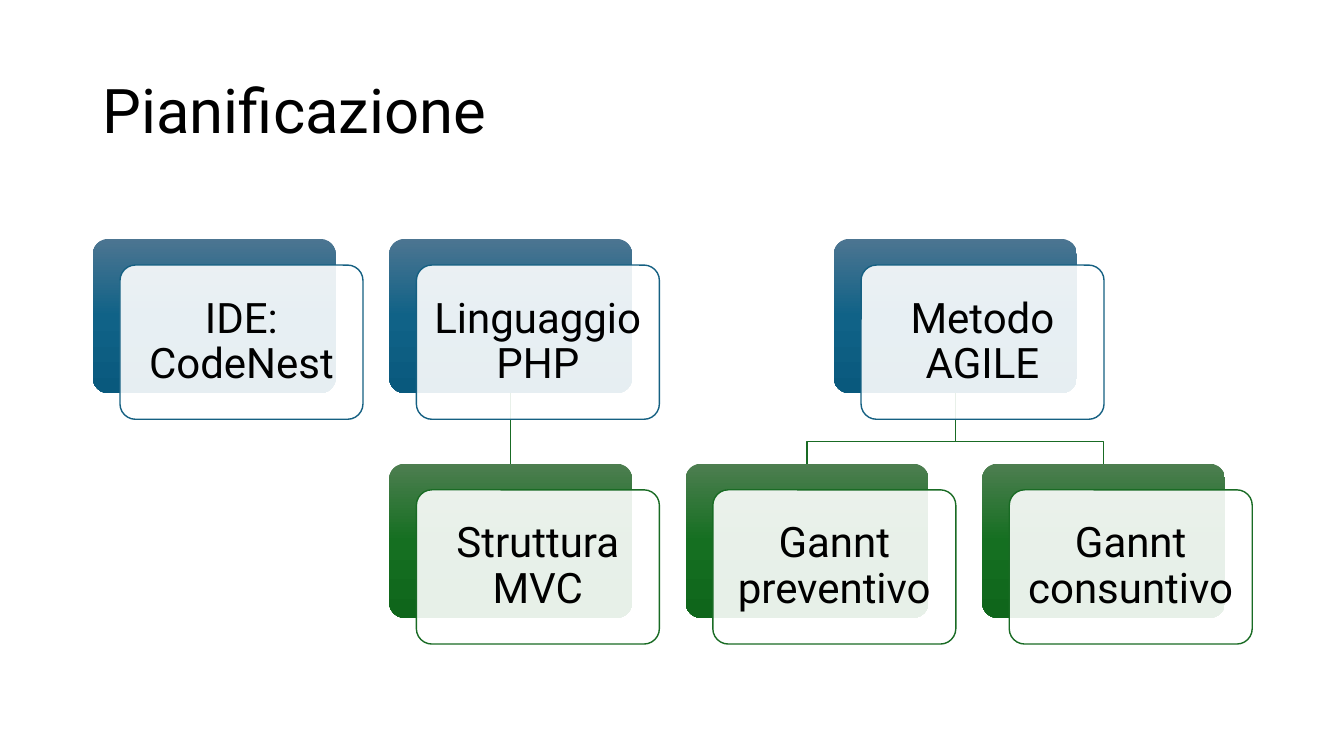
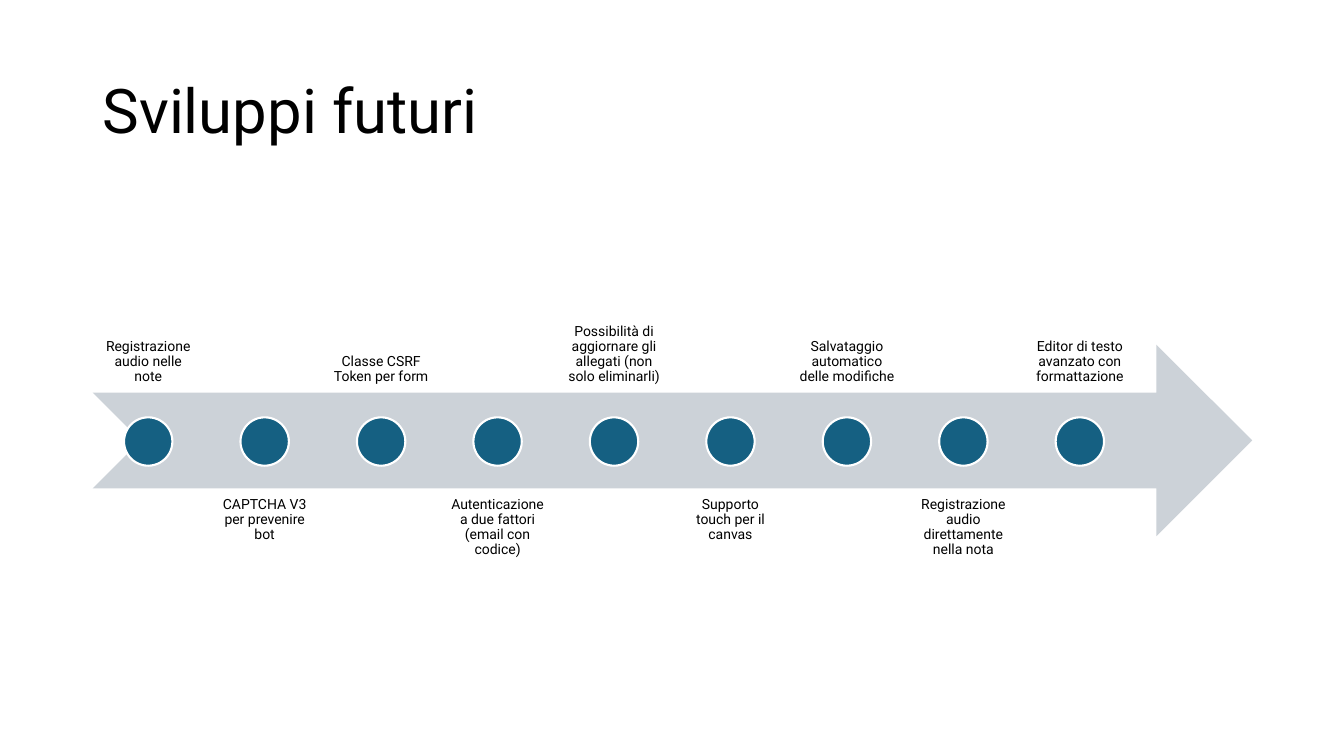
from copy import deepcopy

from lxml.etree import SubElement
from pptx import Presentation
from pptx.dml.color import RGBColor
from pptx.enum.shapes import MSO_CONNECTOR, MSO_SHAPE as Preset
from pptx.enum.text import MSO_ANCHOR as Anchor, PP_ALIGN as Align
from pptx.oxml.ns import qn
from pptx.util import Inches, Pt

# Shared style
FONT = "Roboto"
BLACK, WHITE = "000000", "FFFFFF"
BLUE, GREEN, GREY = "156082", "196B24", "CCD2D8"
GRADIENTS = {
    BLUE: ("4C7591", "106287", "09597D"),
    GREEN: ("4D7E50", "156F21", "0F661B"),
}

# Content: card name -> (text, column, row)
PLAN_TITLE = "Pianificazione"
CARDS = {
    "ide": ("IDE: CodeNest", 0, 0),
    "language": ("Linguaggio PHP", 1, 0),
    "method": ("Metodo AGILE", 2.5, 0),
    "structure": ("Struttura MVC", 1, 1),
    "estimate": ("Gannt preventivo", 2, 1),
    "actual": ("Gannt consuntivo", 3, 1),
}
LINKS = [("language", "structure"), ("method", "estimate"), ("method", "actual")]

FUTURE_TITLE = "Sviluppi futuri"
MILESTONES = [
    "Registrazione audio nelle note",
    "CAPTCHA V3 per prevenire bot",
    "Classe CSRF Token per form",
    "Autenticazione a due fattori (email con codice)",
    "Possibilità di aggiornare gli allegati (non solo eliminarli)",
    "Supporto touch per il canvas",
    "Salvataggio automatico delle modifiche",
    "Registrazione audio direttamente nella nota",
    "Editor di testo avanzato con formattazione",
]

# Layout, in inches
LEFT = 0.92
CARD_WIDTH, CARD_HEIGHT = 2.41, 1.53
COLUMN_STEP, ROW_TOPS = 2.94, (2.37, 4.6)
FRONT_DX, FRONT_DY = 0.27, 0.26
ELBOW_Y = 4.38
LABEL_WIDTH, LABEL_HEIGHT = 1.1, 1.9
LABEL_TOPS = (2, 4.85)
LABEL_STEP = 9.24 / (len(MILESTONES) - 1)
DOT_SIZE, DOT_TOP = 0.48, 4.14


def color(value):
    return RGBColor.from_string(value)


def set_line(shape, value, width):
    shape.line.color.rgb = color(value)
    shape.line.width = Pt(width)


def write(shape, text, size, align, anchor, insets):
    frame = shape.text_frame
    frame.word_wrap = True
    frame.vertical_anchor = anchor
    frame.margin_left = frame.margin_right = Inches(insets[0])
    frame.margin_top = frame.margin_bottom = Inches(insets[1])
    paragraph = frame.paragraphs[0]
    paragraph.alignment = align
    paragraph.line_spacing = 0.9
    run = paragraph.add_run()
    run.text = text
    run.font.name = FONT
    run.font.size = Pt(size)
    run.font.color.rgb = color(BLACK)


def add_preset(slide, preset, left, top, width, height, fill=None):
    shape = slide.shapes.add_shape(
        preset, Inches(left), Inches(top), Inches(width), Inches(height))
    shape.shadow.inherit = False
    shape.line.fill.background()
    if fill:
        shape.fill.solid()
        shape.fill.fore_color.rgb = color(fill)
    return shape


def add_text(slide, left, top, width, height, *style):
    box = slide.shapes.add_textbox(
        Inches(left), Inches(top), Inches(width), Inches(height))
    write(box, *style)


def add_titled_slide(presentation, title):
    slide = presentation.slides.add_slide(presentation.slide_layouts[6])
    add_text(slide, LEFT, 0.4, 11.5, 1.45,
             title, 44, Align.LEFT, Anchor.MIDDLE, (0.1, 0.05))
    return slide


def fill_gradient(shape, values):
    shape.fill.gradient()
    shape.fill.gradient_angle = 270
    stop_list = shape._element.spPr.find(qn("a:gradFill")).find(qn("a:gsLst"))
    stop_list.insert(1, deepcopy(stop_list[0]))
    for stop, position, value in zip(shape.fill.gradient_stops, (0, 0.5, 1), values):
        stop.position = position
        stop.color.rgb = color(value)


def add_card(slide, text, column, row):
    """Draw a gradient card with its text panel; return the gradient card."""
    accent = (BLUE, GREEN)[row]
    left, top = LEFT + column * COLUMN_STEP, ROW_TOPS[row]
    back = add_preset(slide, Preset.ROUNDED_RECTANGLE, left, top, CARD_WIDTH, CARD_HEIGHT)
    fill_gradient(back, GRADIENTS[accent])
    panel = add_preset(slide, Preset.ROUNDED_RECTANGLE, left + FRONT_DX, top + FRONT_DY,
                       CARD_WIDTH, CARD_HEIGHT, WHITE)
    panel_color = panel._element.spPr.find(qn("a:solidFill"))[0]
    SubElement(panel_color, qn("a:alpha")).set("val", "90000")
    set_line(panel, accent, 1)
    for shape in (back, panel):
        shape.adjustments[0] = 0.1
    write(panel, text, 30, Align.CENTER, Anchor.MIDDLE, (0.12, 0.12))
    return back


def add_link(slide, parent, child):
    """Join two cards, straight within a column and bent across columns."""
    start_x, end_x = (card.left + card.width // 2 for card in (parent, child))
    start_y, end_y = parent.top + parent.height, child.top
    if start_x == end_x:
        link = slide.shapes.add_connector(
            MSO_CONNECTOR.STRAIGHT, start_x, start_y, end_x, end_y)
        link.begin_connect(parent, 2)
        link.end_connect(child, 0)
        SubElement(link._element.spPr, qn("a:effectLst"))
    else:
        bend = Inches(ELBOW_Y)
        builder = slide.shapes.build_freeform(start_x, start_y)
        builder.add_line_segments(
            [(start_x, bend), (end_x, bend), (end_x, end_y)], close=False)
        link = builder.convert_to_shape()
        link.fill.background()
        link.shadow.inherit = False
    set_line(link, GREEN, 1)
    # Links lie behind the cards
    slide.shapes._spTree.insert(2, link._element)


def build_plan(presentation):
    slide = add_titled_slide(presentation, PLAN_TITLE)
    cards = {name: add_card(slide, *card) for name, card in CARDS.items()}
    for parent, child in LINKS:
        add_link(slide, cards[parent], cards[child])


def build_timeline(presentation):
    slide = add_titled_slide(presentation, FUTURE_TITLE)
    add_preset(slide, Preset.NOTCHED_RIGHT_ARROW, LEFT, 3.42, 11.5, 1.9, GREY)
    # Labels alternate above and below the arrow
    for index, text in enumerate(MILESTONES):
        left, side = LEFT + index * LABEL_STEP, index % 2
        add_text(slide, left, LABEL_TOPS[side], LABEL_WIDTH, LABEL_HEIGHT, text, 10,
                 Align.CENTER, (Anchor.BOTTOM, Anchor.TOP)[side], (0.08, 0.08))
        dot = add_preset(slide, Preset.OVAL, left + (LABEL_WIDTH - DOT_SIZE) / 2,
                         DOT_TOP, DOT_SIZE, DOT_SIZE, BLUE)
        set_line(dot, WHITE, 1.5)


def main():
    presentation = Presentation()
    presentation.slide_width = Inches(13.33)
    presentation.slide_height = Inches(7.5)
    build_plan(presentation)
    build_timeline(presentation)
    presentation.save("out.pptx")


if __name__ == "__main__":
    main()
